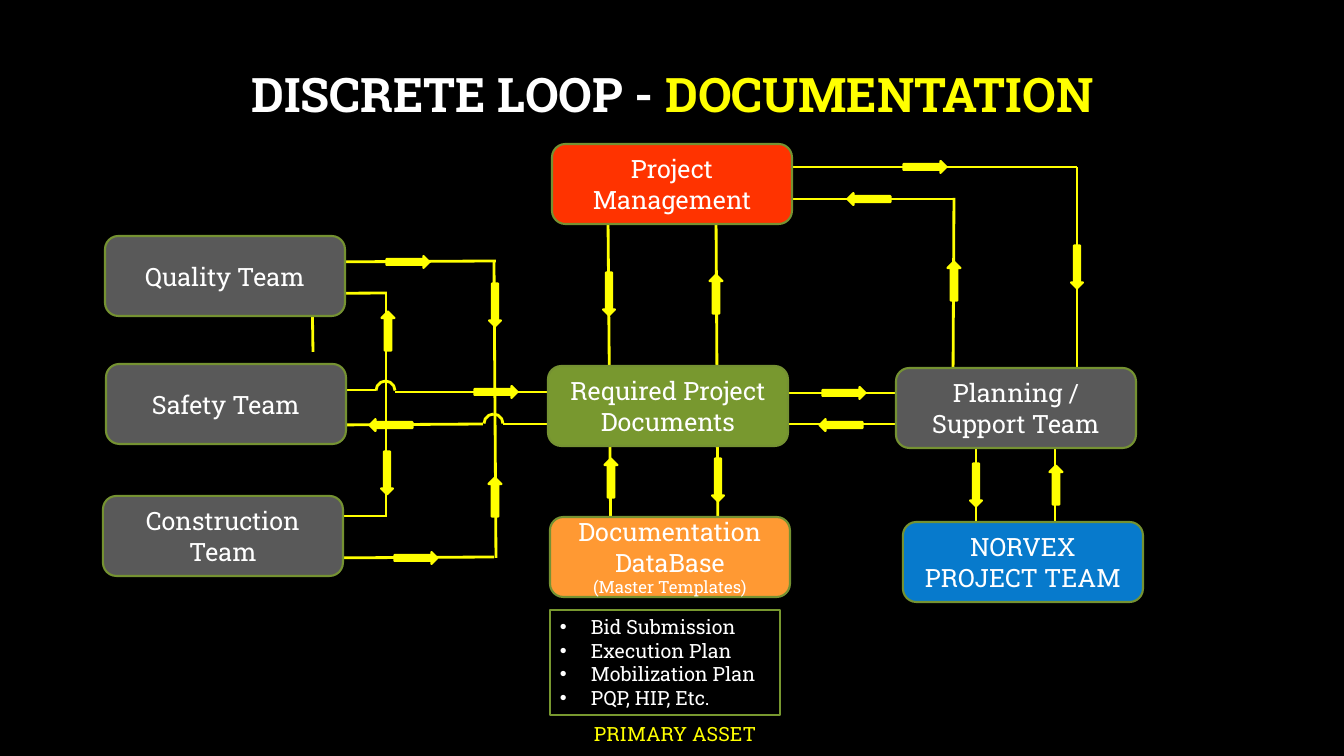
from pptx import Presentation
from pptx.dml.color import RGBColor
from pptx.enum.shapes import MSO_CONNECTOR, MSO_SHAPE
from pptx.enum.text import MSO_ANCHOR, PP_ALIGN
from pptx.oxml.ns import qn
from pptx.util import Pt
from lxml import etree

PX = 9071.43
FONT = "Roboto Slab"
STRAIGHT = MSO_CONNECTOR.STRAIGHT
BOX, RECT, ARC = MSO_SHAPE.FLOWCHART_ALTERNATE_PROCESS, MSO_SHAPE.RECTANGLE, MSO_SHAPE.ARC
RIGHT_ARROW, DOWN_ARROW = MSO_SHAPE.RIGHT_ARROW, MSO_SHAPE.DOWN_ARROW
TOP, MIDDLE = MSO_ANCHOR.TOP, MSO_ANCHOR.MIDDLE
LEFT, CENTER = PP_ALIGN.LEFT, PP_ALIGN.CENTER
COLORS = {
    "black": "000000", "white": "FFFFFF", "yellow": "FFFF00", "gray": "595959",
    "green": "78982F", "edge": "759232", "red": "FF3300", "orange": "FF9933", "blue": "077ACC",
}
ARROWS = {
    "right": (RIGHT_ARROW, 43, 12, 0),
    "down": (RIGHT_ARROW, 43, 12, 90),
    "left": (RIGHT_ARROW, 43, 12, 180),
    "up": (DOWN_ARROW, 13, 39, 180),
}


def emu(*lengths):
    return [round(v * PX) for v in lengths]


def rgb(name):
    return RGBColor.from_string(COLORS[name])


class Deck:
    def __init__(self, prs):
        self.s = prs.slides.add_slide(prs.slide_layouts[5])
        fill = self.s.background.fill
        fill.solid()
        fill.fore_color.rgb = rgb("black")

    def style(self, run, size, color="white", bold=False):
        f = run.font
        f.name, f.size, f.bold = FONT, Pt(size), bold
        f.color.rgb = rgb(color)

    def set_text(self, tf, lines, align=CENTER, anchor=MIDDLE, color="white"):
        tf.word_wrap = True
        tf.vertical_anchor = anchor
        for i, (text, size) in enumerate(lines):
            p = tf.add_paragraph() if i else tf.paragraphs[0]
            p.text = text
            p.alignment = align
            self.style(p.runs[0], size, color)

    def title(self, frame, parts):
        sp = self.s.shapes.title
        sp.left, sp.top, sp.width, sp.height = emu(*frame)
        tf = sp.text_frame
        tf.vertical_anchor = MIDDLE
        p = tf.paragraphs[0]
        p.alignment, p.line_spacing = CENTER, 0.9
        for text, color in parts:
            r = p.add_run()
            r.text = text
            self.style(r, 34, color, True)

    def shape(self, kind, frame, fill, line, width=1.5, parent=None):
        sp = (parent or self.s).shapes.add_shape(kind, *emu(*frame))
        sp.shadow.inherit = False
        if fill:
            sp.fill.solid()
            sp.fill.fore_color.rgb = rgb(fill)
        else:
            sp.fill.background()
        sp.line.color.rgb = rgb(line)
        sp.line.width = Pt(width)
        return sp

    def box(self, x, y, fill, *lines):
        sp = self.shape(BOX, (x, y, 240, 80), fill, "edge")
        self.set_text(sp.text_frame, lines)

    def line(self, *ends):
        c = self.s.shapes.add_connector(STRAIGHT, *emu(*ends))
        c.line.color.rgb = rgb("yellow")
        c.line.width = Pt(2)
        etree.SubElement(c._element.spPr, qn("a:effectLst"))

    def arrow(self, cx, cy, way):
        kind, w, h, angle = ARROWS[way]
        sp = self.shape(kind, (cx - w / 2, cy - h / 2, w, h), "yellow", "yellow")
        sp.rotation = angle

    def bridge(self, x, y):
        group = self.s.shapes.add_group_shape()
        for angle in (0, 270):
            sp = self.shape(ARC, (x, y, 19, 19), None, "yellow", 2, group)
            sp.rotation = angle

    def bullets(self, frame, items):
        sp = self.shape(RECT, frame, None, "green")
        self.set_text(sp.text_frame, [(item, 14) for item in items], LEFT, TOP)
        indent = emu(31)[0]
        for p in sp.text_frame.paragraphs:
            pPr = p._p.get_or_add_pPr()
            pPr.set("marL", str(indent))
            pPr.set("indent", str(-indent))
            etree.SubElement(pPr, qn("a:buFont"), typeface="Arial")
            etree.SubElement(pPr, qn("a:buChar"), char="•")

    def label(self, frame, text, size, color):
        sp = self.s.shapes.add_textbox(*emu(*frame))
        self.set_text(sp.text_frame, [(text, size)], LEFT, TOP, color)


prs = Presentation()
prs.slide_width, prs.slide_height = emu(1344, 756)
d = Deck(prs)
d.title((102, 24, 1141, 146), [("DISCRETE LOOP - ", "white"), ("DOCUMENTATION", "yellow")])

for ends in [
    (1055, 422, 1055, 555), (954, 198, 953, 384), (768, 199, 953, 199),
    (772, 167, 1077, 167), (760, 424, 912, 424), (764, 393, 920, 393),
    (608, 215, 611, 568), (503, 424, 556, 424), (321, 558, 494, 557),
    (231, 516, 387, 516), (332, 425, 483, 424), (323, 390, 376, 390),
    (322, 262, 496, 261), (216, 294, 387, 293), (716, 212, 718, 542),
    (976, 409, 976, 542), (386, 294, 386, 516), (1077, 167, 1077, 374),
    (312, 283, 313, 352), (494, 261, 496, 558), (395, 392, 551, 392),
]:
    d.line(*ends)

for x, y, fill, text in [
    (548, 366, "green", "Required Project Documents"),
    (105, 236, "gray", "Quality Team"),
    (106, 364, "gray", "Safety Team"),
    (103, 496, "gray", "Construction Team"),
    (552, 144, "red", "Project Management"),
    (903, 522, "blue", "NORVEX PROJECT TEAM"),
]:
    d.box(x, y, fill, (text, 18))
d.box(896, 368, "gray", ("Planning /", 18), ("Support Team", 18))
d.box(550, 517, "orange", ("Documentation DataBase", 18), ("(Master Templates)", 12))

d.bullets((550, 610, 230, 105),
          ["Bid Submission", "Execution Plan", "Mobilization Plan", "PQP, HIP, Etc."])
d.label((584, 717, 223, 34), "PRIMARY ASSET", 14, "yellow")

for x, y in [(376, 381), (484, 414)]:
    d.bridge(x, y)

for way, centers in {
    "right": [(496, 392), (408, 262), (416, 558), (844, 393), (925, 167)],
    "left": [(391, 425), (841, 425), (869, 199)],
    "down": [(387, 473), (495, 305), (718, 480), (609, 294), (1077, 267), (976, 485)],
    "up": [(388, 331), (1056, 485), (495, 497), (611, 478), (716, 294), (954, 281)],
}.items():
    for cx, cy in centers:
        d.arrow(cx, cy, way)

prs.save("out.pptx")
